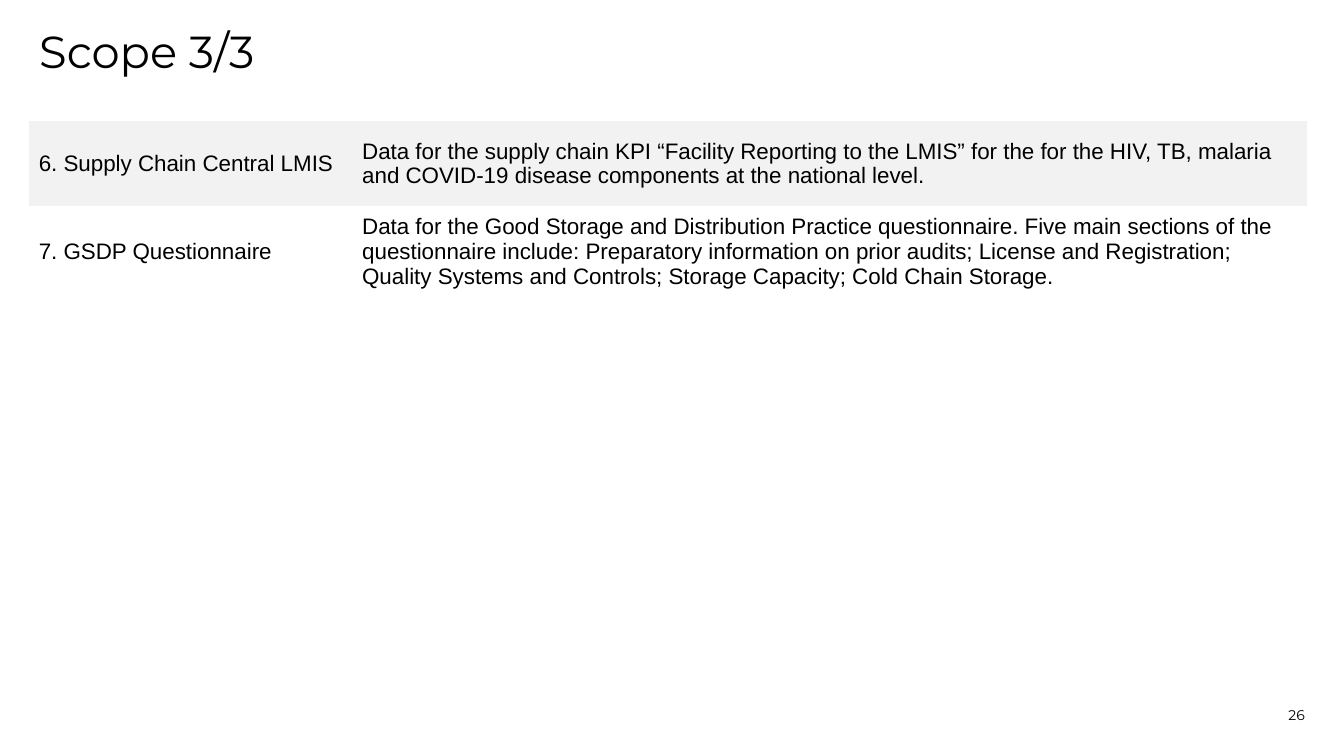
from pptx import Presentation
from pptx.dml.color import RGBColor
from pptx.enum import text
from pptx.util import Pt

NO_STYLE = "{2D5ABB26-0587-4C30-8999-92F81FD0307C}"
ROWS = [
    ("6. Supply Chain Central LMIS",
     "Data for the supply chain KPI “Facility Reporting to the LMIS” for the for the HIV, TB, "
     "malaria and COVID-19 disease components at the national level."),
    ("7. GSDP Questionnaire",
     "Data for the Good Storage and Distribution Practice questionnaire. Five main sections of the "
     "questionnaire include: Preparatory information on prior audits; License and Registration; "
     "Quality Systems and Controls; Storage Capacity; Cold Chain Storage."),
]


def color(value):
    return RGBColor.from_string(value)


class Deck:
    """Holds the style and the current slide, and draws its elements."""

    heading, body, ink = "Montserrat", "Arial", "000000"
    bands = "F2F2F2", "FFFFFF"

    def __init__(self, slide):
        self.s = slide

    def set_text(self, p, words, size, face):
        p.text = words
        p.font.size = Pt(size)
        p.font.name = face
        p.font.color.rgb = color(self.ink)

    def label(self, words, box, size, anchor, align, spacing=1.0):
        tf = self.s.shapes.add_textbox(*map(Pt, box)).text_frame
        tf.word_wrap = True
        tf.margin_left = tf.margin_right = tf.margin_top = tf.margin_bottom = 0
        tf.vertical_anchor = anchor
        p = tf.paragraphs[0]
        self.set_text(p, words, size, self.heading)
        p.alignment = align
        p.line_spacing = spacing

    def table(self, rows, left, top, widths, height, size):
        box = left, top, sum(widths), height * len(rows)
        table = self.s.shapes.add_table(len(rows), len(widths), *map(Pt, box)).table
        table._tbl.tblPr.find("{*}tableStyleId").text = NO_STYLE
        table.first_row = table.horz_banding = False
        for column, width in zip(table.columns, widths):
            column.width = Pt(width)
        for i, (row, entries) in enumerate(zip(table.rows, rows)):
            row.height = Pt(height)
            for cell, words in zip(row.cells, entries):
                cell.fill.solid()
                cell.fill.fore_color.rgb = color(self.bands[i % 2])
                cell.vertical_anchor = text.MSO_ANCHOR.MIDDLE
                self.set_text(cell.text_frame.paragraphs[0], words, size, self.body)


def main():
    prs = Presentation()
    prs.slide_width, prs.slide_height = Pt(960), Pt(540)
    deck = Deck(prs.slides.add_slide(prs.slide_layouts[6]))
    deck.label("Scope 3/3", (28, 21.5, 904, 37), 32,
               text.MSO_ANCHOR.TOP, text.PP_ALIGN.LEFT, 0.9)
    deck.table(ROWS, 20.5, 86.5, (231, 682), 61, 16)
    deck.label("26", (861, 488, 71, 29), 10,
               text.MSO_ANCHOR.BOTTOM, text.PP_ALIGN.RIGHT)
    prs.save("out.pptx")


if __name__ == "__main__":
    main()
